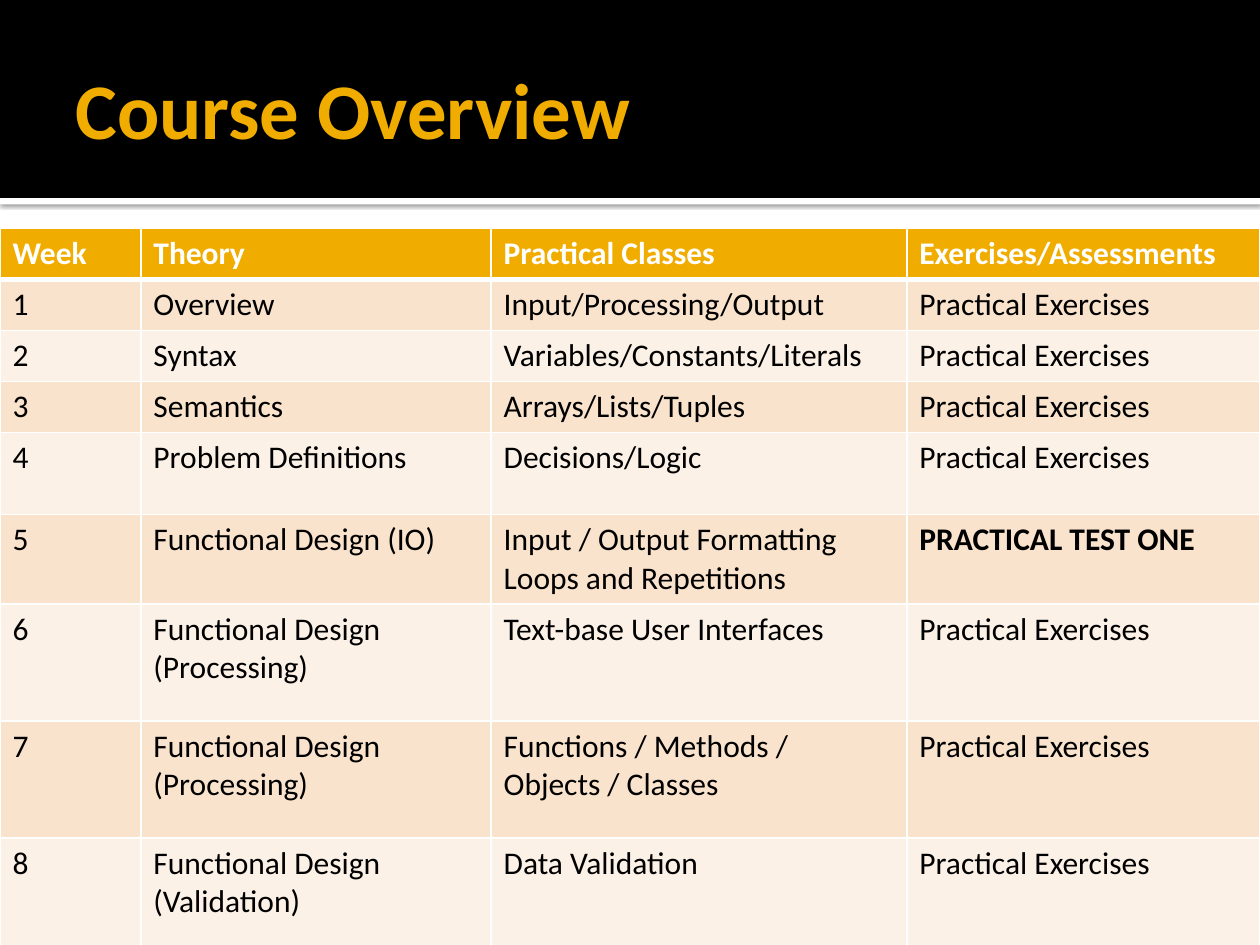
from lxml.etree import SubElement
from pptx import Presentation
from pptx.dml.color import RGBColor
from pptx.enum.shapes import MSO_SHAPE
from pptx.enum.text import MSO_ANCHOR, PP_ALIGN
from pptx.oxml import parse_xml
from pptx.oxml.ns import nsdecls, qn
from pptx.util import Cm, Pt

FONT = "Calibri"
BLACK = RGBColor(0x00, 0x00, 0x00)
WHITE = RGBColor(0xFF, 0xFF, 0xFF)
GOLD = RGBColor(0xF0, 0xAD, 0x00)
BANDS = [RGBColor(0xF9, 0xE3, 0xCC), RGBColor(0xFC, 0xF1, 0xE7)]

EXERCISES = "Practical Exercises"
HEADER = ["Week", "Theory", "Practical Classes", "Exercises/Assessments"]
WEEKS = [
    ("Overview", "Input/Processing/Output", EXERCISES),
    ("Syntax", "Variables/Constants/Literals", EXERCISES),
    ("Semantics", "Arrays/Lists/Tuples", EXERCISES),
    ("Problem Definitions", "Decisions/Logic", EXERCISES),
    ("Functional Design (IO)", "Input / Output Formatting Loops and Repetitions",
     "PRACTICAL TEST ONE"),
    ("Functional Design (Processing)", "Text-base User Interfaces", EXERCISES),
    ("Functional Design (Processing)", "Functions / Methods /\nObjects / Classes",
     EXERCISES),
    ("Functional Design (Validation)", "Data Validation", EXERCISES),
]
COL_WIDTHS = [2.84, 7.06, 8.38, 7.12]
ROW_HEIGHTS = [0.97] * 4 + [1.65] * 2 + [2.36] * 3


def add_bar(s, left, top, width, height, color):
    bar = s.shapes.add_shape(MSO_SHAPE.RECTANGLE, left, top, width, height)
    bar.shadow.inherit = False
    bar.fill.solid()
    bar.fill.fore_color.rgb = color
    bar.line.fill.background()
    return bar


def add_shadow(shape):
    effects = shape._element.spPr.find(qn("a:effectLst"))
    effects.append(parse_xml(
        f'<a:outerShdw {nsdecls("a")} blurRad="{Pt(2.5)}" dist="{Pt(0.8)}" '
        'dir="5400000" algn="t" rotWithShape="0"><a:srgbClr val="000000">'
        '<a:alpha val="60000"/></a:srgbClr></a:outerShdw>'))


def add_title_band(s, left, top, width, height):
    # White rule with a soft shadow, under the black band
    add_shadow(add_bar(s, left, top + height, width, Cm(0.13), WHITE))
    add_bar(s, left, top, width, height, BLACK)

    # Title, brought in front of the band
    title = s.shapes.title
    s.shapes._spTree.append(title._element)
    title.left, title.top = left + Cm(1.27), top + Cm(0.43)
    title.width, title.height = width - Cm(2.54), height - Cm(0.51)
    tf = title.text_frame
    tf.text = "Course Overview"
    tf.word_wrap = True
    tf.vertical_anchor = MSO_ANCHOR.MIDDLE
    tf.margin_left = Cm(0.25)
    tf.margin_right = tf.margin_top = tf.margin_bottom = Cm(0.13)
    p = tf.paragraphs[0]
    p.alignment = PP_ALIGN.LEFT
    set_font(p, 45, GOLD, True)


def set_font(p, size, color, bold):
    p.font.name = FONT
    p.font.size = Pt(size)
    p.font.bold = bold
    p.font.color.rgb = color


def set_borders(cell, bottom):
    tcPr = cell._tc.get_or_add_tcPr()
    for side, width in (("L", 1), ("R", 1), ("T", 1), ("B", bottom)):
        ln = SubElement(tcPr, qn(f"a:ln{side}"), w=str(Pt(width)))
        fill = SubElement(ln, qn("a:solidFill"))
        SubElement(fill, qn("a:srgbClr"), val=str(WHITE))


def add_schedule(s, left, top, width, height):
    rows = [HEADER] + [(str(n), *week) for n, week in enumerate(WEEKS, 1)]
    table = s.shapes.add_table(len(rows), len(HEADER), left, top, width, height).table
    for column, w in zip(table.columns, COL_WIDTHS):
        column.width = Cm(w)
    for row, h in zip(table.rows, ROW_HEIGHTS):
        row.height = Cm(h)

    for i, texts in enumerate(rows):
        header = i == 0
        for j, text in enumerate(texts):
            cell = table.cell(i, j)
            cell.text = text
            set_borders(cell, 3 if header else 1)
            cell.fill.solid()
            cell.fill.fore_color.rgb = GOLD if header else BANDS[(i - 1) % 2]
            for p in cell.text_frame.paragraphs:
                set_font(p, 18, WHITE if header else BLACK, header or text.isupper())


def main():
    prs = Presentation()
    prs.slide_width, prs.slide_height = Cm(25.4), Cm(19.05)
    s = prs.slides.add_slide(prs.slide_layouts[5])
    s.background.fill.solid()
    s.background.fill.fore_color.rgb = WHITE
    add_title_band(s, 0, 0, prs.slide_width, Cm(3.99))
    add_schedule(s, 0, Cm(4.6), prs.slide_width, Cm(sum(ROW_HEIGHTS)))
    prs.save("out.pptx")


if __name__ == "__main__":
    main()
